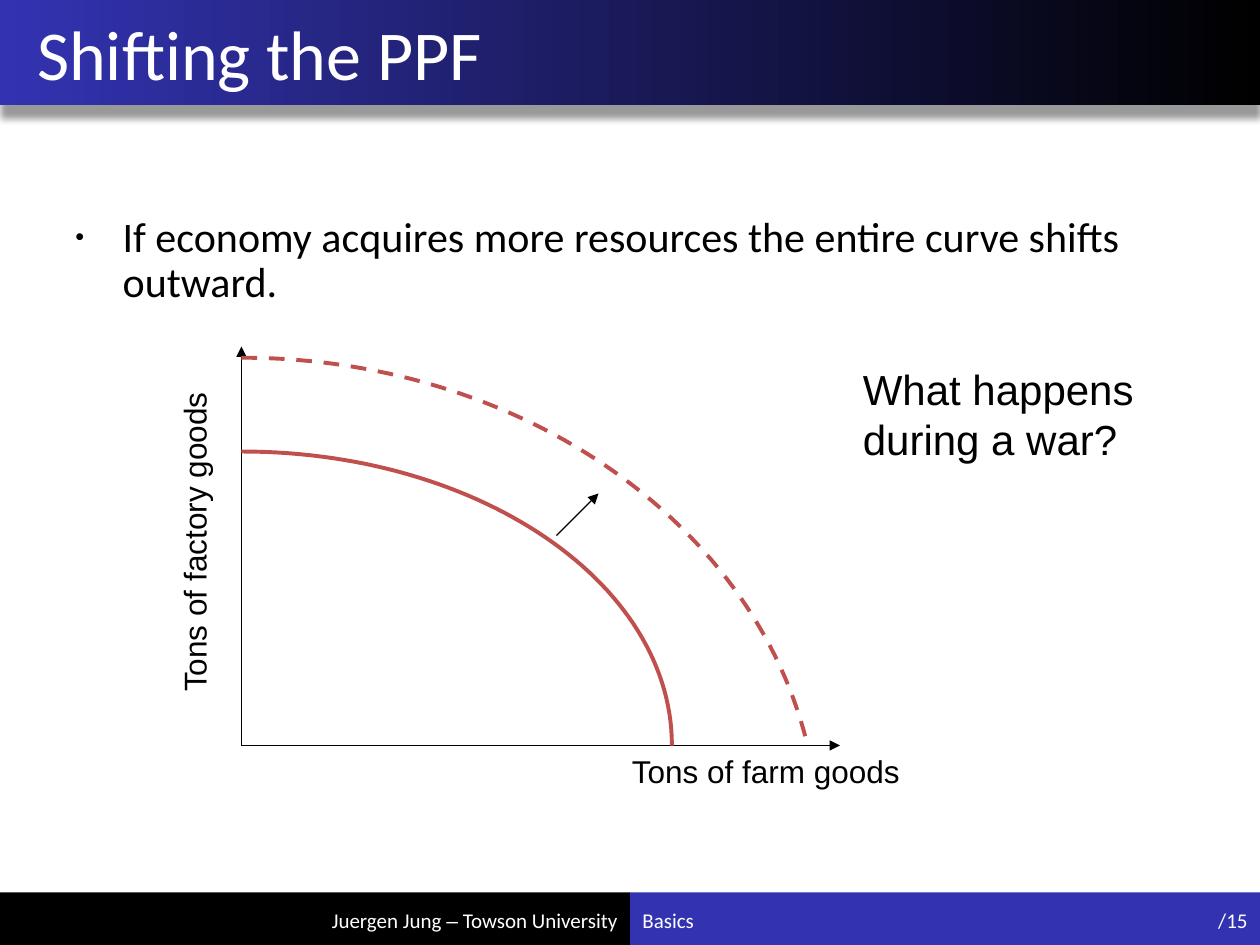
from lxml.etree import SubElement
from pptx import Presentation
from pptx.dml.color import RGBColor
from pptx.enum.dml import MSO_LINE_DASH_STYLE as Dash
from pptx.enum.shapes import MSO_CONNECTOR as Connector, MSO_SHAPE as Shape
from pptx.enum.text import MSO_ANCHOR as Anchor, MSO_AUTO_SIZE as AutoSize, PP_ALIGN as Align
from pptx.oxml.ns import qn
from pptx.util import Pt

BLACK = RGBColor(0x00, 0x00, 0x00)
WHITE = RGBColor(0xFF, 0xFF, 0xFF)
BLUE = RGBColor(0x33, 0x33, 0xB2)
RED = RGBColor(0xC0, 0x50, 0x4D)

SLIDE_W, SLIDE_H = 720, 540
HALF_W = SLIDE_W / 2
HEADER_H = 60
FOOTER_TOP = 510
ORIGIN_X, ORIGIN_Y = 138, 426
CURVE_STEPS = 60


def add_bar(slide, left, top, width, height, color):
    bar = slide.shapes.add_shape(Shape.RECTANGLE, Pt(left), Pt(top), Pt(width), Pt(height))
    bar.shadow.inherit = False
    bar.line.fill.background()
    bar.fill.solid()
    bar.fill.fore_color.rgb = color
    return bar


def add_header(slide):
    """Blue-to-black band with a soft shadow below it."""
    header = add_bar(slide, 0, 0, SLIDE_W, HEADER_H, BLACK)
    header.fill.gradient()
    header.fill.gradient_angle = 180
    for stop, color in zip(header.fill.gradient_stops, (BLACK, BLUE)):
        stop.color.rgb = color
    effects = header._element.spPr.find(qn("a:effectLst"))
    shadow = SubElement(effects, qn("a:outerShdw"), blurRad=str(Pt(4)), dist=str(Pt(7)),
                        dir="5400000", algn="t", rotWithShape="0")
    shadow_color = SubElement(shadow, qn("a:srgbClr"), val=str(BLACK))
    SubElement(shadow_color, qn("a:alpha"), val="40000")


def write_run(paragraph, text, size, color, font="Calibri"):
    run = paragraph.add_run()
    run.text = text
    run.font.name = font
    run.font.size = Pt(size)
    run.font.color.rgb = color


def add_text(slide, left, top, width, height, runs, size, color=BLACK,
             align=Align.LEFT, anchor=Anchor.TOP):
    """Add a wrapped text box; runs are (text, font) pairs of one paragraph."""
    box = slide.shapes.add_textbox(Pt(left), Pt(top), Pt(width), Pt(height))
    frame = box.text_frame
    frame.word_wrap = True
    frame.vertical_anchor = anchor
    paragraph = frame.paragraphs[0]
    paragraph.alignment = align
    for text, font in runs:
        write_run(paragraph, text, size, color, font)
    return box


def add_bullet(paragraph, indent):
    props = paragraph._p.get_or_add_pPr()
    props.set("marL", str(Pt(indent)))
    props.set("indent", str(-Pt(indent)))
    SubElement(props, qn("a:buSzPct"), val="60000")
    SubElement(props, qn("a:buFont"), typeface="Arial")
    SubElement(props, qn("a:buChar"), char="•")
    paragraph.line_spacing = 0.9


def add_arrow(slide, start, end):
    arrow = slide.shapes.add_connector(Connector.STRAIGHT, *map(Pt, start + end))
    arrow.line.color.rgb = BLACK
    arrow.line.width = Pt(0.75)
    SubElement(arrow.line._get_or_add_ln(), qn("a:tailEnd"), type="triangle")
    SubElement(arrow._element.spPr, qn("a:effectLst"))


def bezier_point(controls, t):
    weights = ((1 - t) ** 3, 3 * t * (1 - t) ** 2, 3 * t ** 2 * (1 - t), t ** 3)
    return tuple(Pt(sum(w * point[axis] for w, point in zip(weights, controls)))
                 for axis in (0, 1))


def add_frontier(slide, controls, dash=None):
    """Draw a production frontier along a cubic curve with four control points."""
    points = [bezier_point(controls, i / CURVE_STEPS) for i in range(CURVE_STEPS + 1)]
    builder = slide.shapes.build_freeform(*points[0], scale=1.0)
    builder.add_line_segments(points[1:], close=False)
    frontier = builder.convert_to_shape()
    frontier.shadow.inherit = False
    frontier.fill.background()
    frontier.line.color.rgb = RED
    frontier.line.width = Pt(2.25)
    if dash:
        frontier.line.dash_style = dash


def set_title(slide, text):
    title = slide.shapes.title
    title.left, title.top, title.width, title.height = Pt(0), Pt(0), Pt(702), Pt(HEADER_H)
    slide.shapes._spTree.append(title._element)  # in front of the header band
    frame = title.text_frame
    frame.auto_size = AutoSize.NONE
    frame.vertical_anchor = Anchor.MIDDLE
    paragraph = frame.paragraphs[0]
    paragraph.alignment = Align.LEFT
    paragraph._p.get_or_add_pPr().set("marL", str(Pt(14)))
    write_run(paragraph, text, 40, WHITE)


def add_footer(slide):
    top, height = 511, 29
    author = [("Juergen Jung ", "Calibri"), ("–", "Arial"), (" Towson University", "Calibri")]
    for left, width, runs, align in (
        (84, 276, author, Align.RIGHT),
        (HALF_W, 276, [("Basics", "Calibri")], Align.LEFT),
        (636, 84, [("/15", "Calibri")], Align.RIGHT),
    ):
        add_text(slide, left, top, width, height, runs, 12, WHITE, align, Anchor.MIDDLE)


def add_diagram(slide):
    origin = (ORIGIN_X, ORIGIN_Y)
    add_arrow(slide, origin, (ORIGIN_X, 198))
    add_arrow(slide, origin, (480, ORIGIN_Y))
    add_frontier(slide, [(ORIGIN_X, 258), (273.8, 258), (384, 333.2), (384, ORIGIN_Y)])
    add_text(slide, 354, ORIGIN_Y, 192, 29, [("Tons of farm goods", "Arial")], 18)
    factory_label = add_text(slide, 12, 289, 198, 29, [("Tons of factory goods", "Arial")], 18)
    factory_label.rotation = 270
    add_frontier(slide, [(ORIGIN_X, 204.4), (294.5, 204.4), (429, 296), (461, 424)], Dash.DASH)
    add_arrow(slide, (318, 306), (342, 282))


def main():
    prs = Presentation()
    prs.slide_width, prs.slide_height = Pt(SLIDE_W), Pt(SLIDE_H)
    slide = prs.slides.add_slide(prs.slide_layouts[5])
    slide.background.fill.solid()
    slide.background.fill.fore_color.rgb = WHITE

    for left, color in ((HALF_W, BLUE), (0, BLACK)):
        add_bar(slide, left, FOOTER_TOP, HALF_W, SLIDE_H - FOOTER_TOP, color)
    add_header(slide)
    set_title(slide, "Shifting the PPF")
    add_footer(slide)

    statement = "If economy acquires more resources the entire curve shifts outward."
    body = add_text(slide, 36, 120, 648, 60, [(statement, "Calibri")], 24)
    add_bullet(body.text_frame.paragraphs[0], 27)

    add_diagram(slide)
    add_text(slide, 486, 204, 186, 65, [("What happens during a war?", "Arial")], 24)
    prs.save("out.pptx")


if __name__ == "__main__":
    main()
